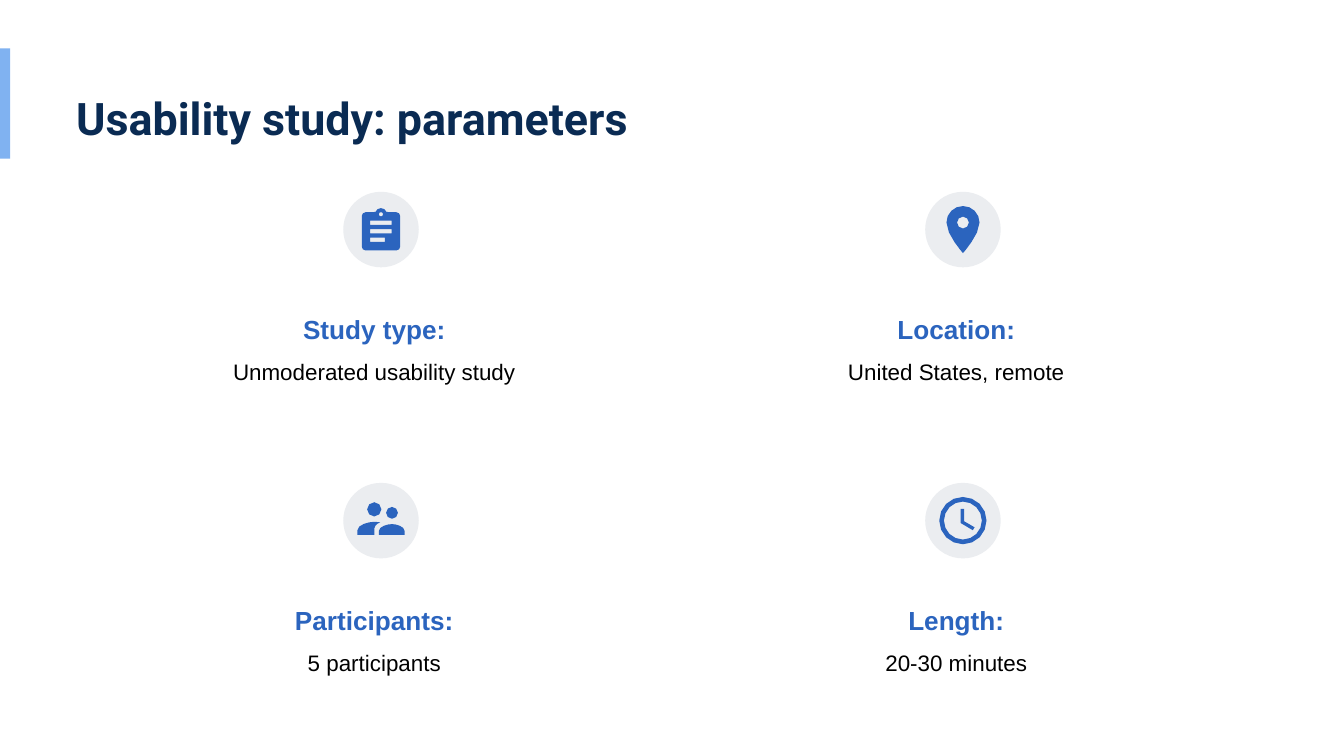
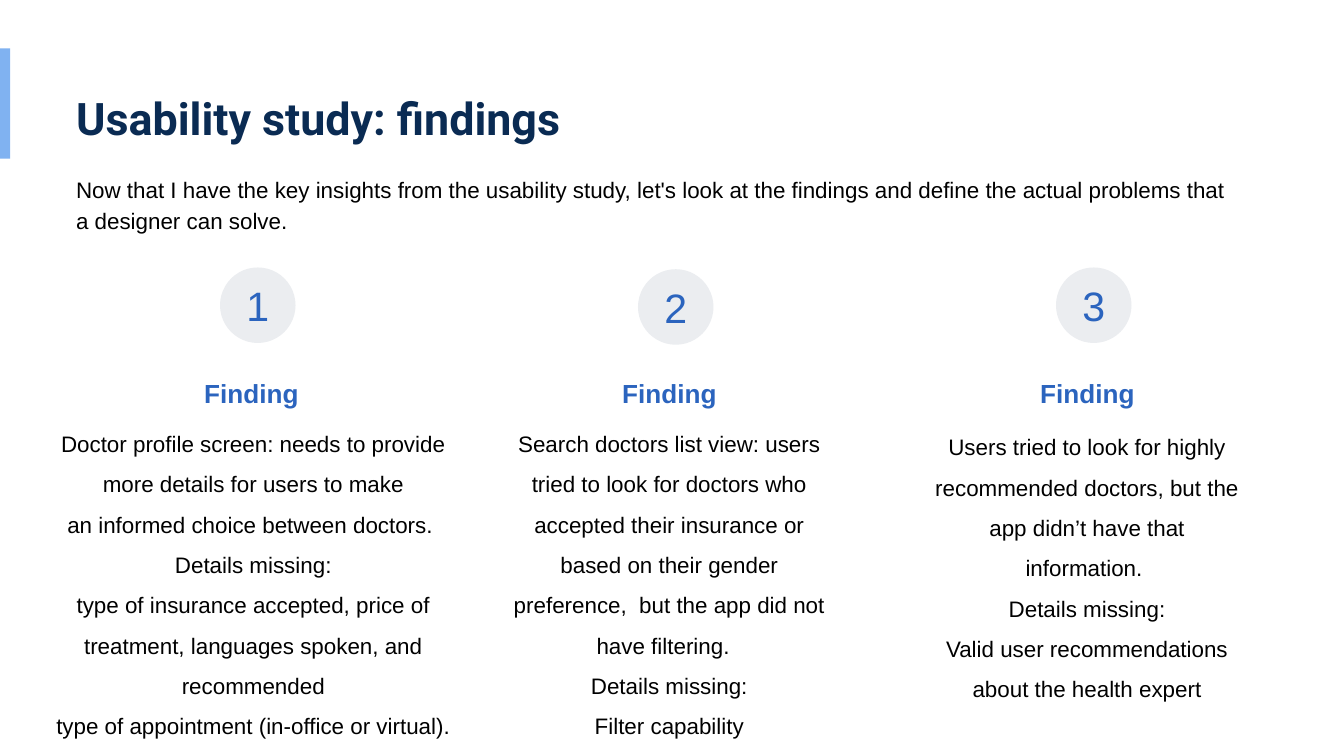
import math
import pptx
import pptx.util
import pptx.dml.color
import pptx.enum.shapes
import pptx.enum.text

RGB = pptx.dml.color.RGBColor
SHAPE = pptx.enum.shapes.MSO_SHAPE
ALIGN = pptx.enum.text.PP_ALIGN
ANCHOR = pptx.enum.text.MSO_ANCHOR
FIT = pptx.enum.text.MSO_AUTO_SIZE

SKY = RGB(0x80, 0xB2, 0xF1)
NAVY = RGB(0x0A, 0x2B, 0x53)
BLUE = RGB(0x2B, 0x64, 0xBE)
PALE = RGB(0xEB, 0xED, 0xF0)
BLACK = RGB(0, 0, 0)

WIDE = pptx.util.Inches(10)
HIGH = pptx.util.Inches(5.625)
CELL = WIDE / 100
DISK = 5.62
LEFT = 5.66

TITLE = dict(name="Roboto", size=24, bold=True, color=NAVY)
HEAD = dict(name="Arial", size=14, bold=True, color=BLUE)
BODY = dict(name="Arial", size=12, bold=False, color=BLACK)
DIGIT = dict(name="Arial", size=22, bold=False, color=BLUE)

FACTS = [
    ("Study type:", "Unmoderated usability study", "board"),
    ("Location:", "United States, remote", "pin"),
    ("Participants:", "5 participants", "group"),
    ("Length:", "20-30 minutes", "clock"),
]
LEAD = ("Now that I have the key insights from the usability study, let's look at "
        "the findings and define the actual problems that a designer can solve.")
FINDS = [
    (19.9, (3.5, 30, 31.7, 25.2), [
        "Doctor profile screen: needs to provide more details for users to make",
        "an informed choice between doctors. ",
        "Details missing:",
        "type of insurance accepted, price of treatment, languages spoken, and recommended",
        "type of appointment (in-office or virtual)."]),
    (20.03, (37.6, 30, 25.4, 22.2), [
        "Search doctors list view: users tried to look for doctors who accepted their "
        "insurance or based on their gender preference,  but the app did not have filtering.  ",
        "Details missing:",
        "Filter capability"]),
    (19.9, (69.43, 30.25, 23.9, 22.2), [
        "Users tried to look for highly recommended doctors, but the app didn’t have "
        "that information. ",
        "Details missing:",
        "Valid user recommendations about the health expert"]),
]


def cells(*spans):
    return [round(span * CELL) for span in spans]


def style(font, form):
    for key, value in form.items():
        if key == "color":
            font.color.rgb = value
        else:
            setattr(font, key, pptx.util.Pt(value) if key == "size" else value)


def write(frame, lines, align=ALIGN.LEFT, space=1.0, inset=1, **extra):
    edge = cells(inset)[0]
    form = dict(word_wrap=True, auto_size=FIT.SHAPE_TO_FIT_TEXT,
                vertical_anchor=ANCHOR.TOP, margin_left=0, margin_top=edge,
                margin_right=edge, margin_bottom=edge)
    for key, value in {**form, **extra}.items():
        setattr(frame, key, value)
    for place, (text, look) in enumerate(lines):
        para = frame.add_paragraph() if place else frame.paragraphs[0]
        para.alignment, para.line_spacing = align, space
        run = para.add_run()
        run.text = text
        style(run.font, look)


def label(slide, box, lines, **form):
    write(slide.shapes.add_textbox(*cells(*box)).text_frame, lines, **form)


def paint(shape, color):
    shape.shadow.inherit = False
    shape.fill.solid()
    shape.fill.fore_color.rgb = color
    shape.line.fill.background()
    return shape


def block(slide, kind, box, color):
    return paint(slide.shapes.add_shape(kind, *cells(*box)), color)


def disk(slide, left, top):
    return block(slide, SHAPE.OVAL, (left, top, DISK, DISK), PALE)


def start(deck, text):
    slide = deck.slides.add_slide(deck.slide_layouts[5])
    block(slide, SHAPE.RECTANGLE, (0, 3.6, 0.75, 8.22), SKY)
    title = slide.shapes.title
    title.left, title.top, title.width, title.height = cells(LEFT, 5.75, 67.3, 6.1)
    write(title.text_frame, [(text, TITLE)])
    return slide


def arc(x, y, size, begin=0, end=360, steps=8):
    turns = [math.radians(begin + (end - begin) * n / steps)
             for n in range(steps + (end - begin < 360))]
    return [(x + size * math.cos(t), y + size * math.sin(t)) for t in turns]


def curve(*knots):
    steps = 4
    points = []
    for n in range(steps + 1):
        t = n / steps
        share = [(1 - t) ** 3, 3 * t * (1 - t) ** 2, 3 * t * t * (1 - t), t ** 3]
        points.append(tuple(sum(s * k[axis] for s, k in zip(share, knots))
                            for axis in (0, 1)))
    return points


def bar(left, top, right, base):
    return [(left, top), (right, top), (right, base), (left, base)]


def board():
    shell = (arc(-11.5, -10, 2.8, 180, 270, 2) + arc(0, -11.5, 4.4, 200, 340, 4)
             + arc(11.5, -10, 2.8, 270, 360, 2) + arc(11.5, 12.8, 2.8, 0, 90, 2)
             + arc(-11.5, 12.8, 2.8, 90, 180, 2))
    rows = [bar(-8, top, right, top + 3.2)
            for top, right in ((-6.5, 8), (-0.2, 8), (6.1, 3))]
    return [shell, arc(0, -11.3, 1.6)] + rows


def pin():
    shell = (arc(0, -5.2, 12.3, 180, 360)
             + curve((12.3, -5.2), (12.3, 4), (0, 17.5), (0, 17.5))[1:]
             + curve((0, 17.5), (0, 17.5), (-12.3, 4), (-12.3, -5.2))[1:-1])
    return [shell, arc(0, -5.2, 4.4)]


def group():
    near = (curve((-5, 0.9), (-9.2, 0.9), (-17.5, 3), (-17.5, 7.2))
            + [(-17.5, 10.6), (-5, 10.6)]
            + curve((-5, 7), (-5, 5.2), (-4.4, 2.6), (-0.6, 1.2)))
    far = (curve((8.2, 2.6), (5, 2.6), (-1.5, 4.3), (-1.5, 7.6))
           + [(-1.5, 10.6), (17.5, 10.6)]
           + curve((17.5, 7.6), (17.5, 4.3), (11.3, 2.6), (8.2, 2.6))[:-1])
    return [arc(-5, -8.4, 5.3), arc(8.2, -5.8, 4.4), near, far]


def clock():
    hand = [(-1.7, -8.7), (0.9, -8.7), (0.9, 0.5), (8.7, 5), (7.4, 7.2), (-1.7, 1.8)]
    return [arc(0, 0, 17.6, steps=16), arc(0, 0, 14.1, steps=16), hand]


ICONS = dict(board=board, pin=pin, group=group, clock=clock)


def icon(slide, name, x, y):
    paths = [[cells(x + dx / 10, y + dy / 10) for dx, dy in loop]
             for loop in ICONS[name]()]
    pen = slide.shapes.build_freeform(*paths[0][0], scale=1.0)
    for place, loop in enumerate(paths):
        if place:
            pen.move_to(*loop[0])
        pen.add_line_segments(loop[1:], close=True)
    paint(pen.convert_to_shape(), BLUE)


def facts(deck):
    slide = start(deck, "Usability study: parameters")
    for place, (head, text, name) in enumerate(FACTS):
        row, col = divmod(place, 2)
        across, down = col * 43.3, row * 21.66
        label(slide, (9.5 + across, 21.14 + down, 37.7, 7.6),
              [(head, HEAD), (text, BODY)], align=ALIGN.CENTER, space=1.5)
        left, top = 25.54 + across, 14.27 + down
        disk(slide, left, top)
        icon(slide, name, left + DISK / 2, top + DISK / 2)


def finds(deck):
    slide = start(deck, "Usability study: findings")
    label(slide, (LEFT, 11.8, 87.7, 6.4), [(LEAD, BODY)], space=1.15)
    for place, (top, box, lines) in enumerate(FINDS):
        across = place * 31.1
        label(slide, box, [(line, BODY) for line in lines],
              align=ALIGN.CENTER, space=1.5)
        label(slide, (8.95 + across, 25.9, 20.5, 4.4), [("Finding", HEAD)],
              align=ALIGN.CENTER, space=1.5)
        write(disk(slide, 16.37 + across, top).text_frame, [(str(place + 1), DIGIT)],
              align=ALIGN.CENTER, inset=0, auto_size=FIT.NONE,
              vertical_anchor=ANCHOR.MIDDLE)


def main():
    deck = pptx.Presentation()
    deck.slide_width, deck.slide_height = WIDE, HIGH
    facts(deck)
    finds(deck)
    deck.save("out.pptx")


if __name__ == "__main__":
    main()
